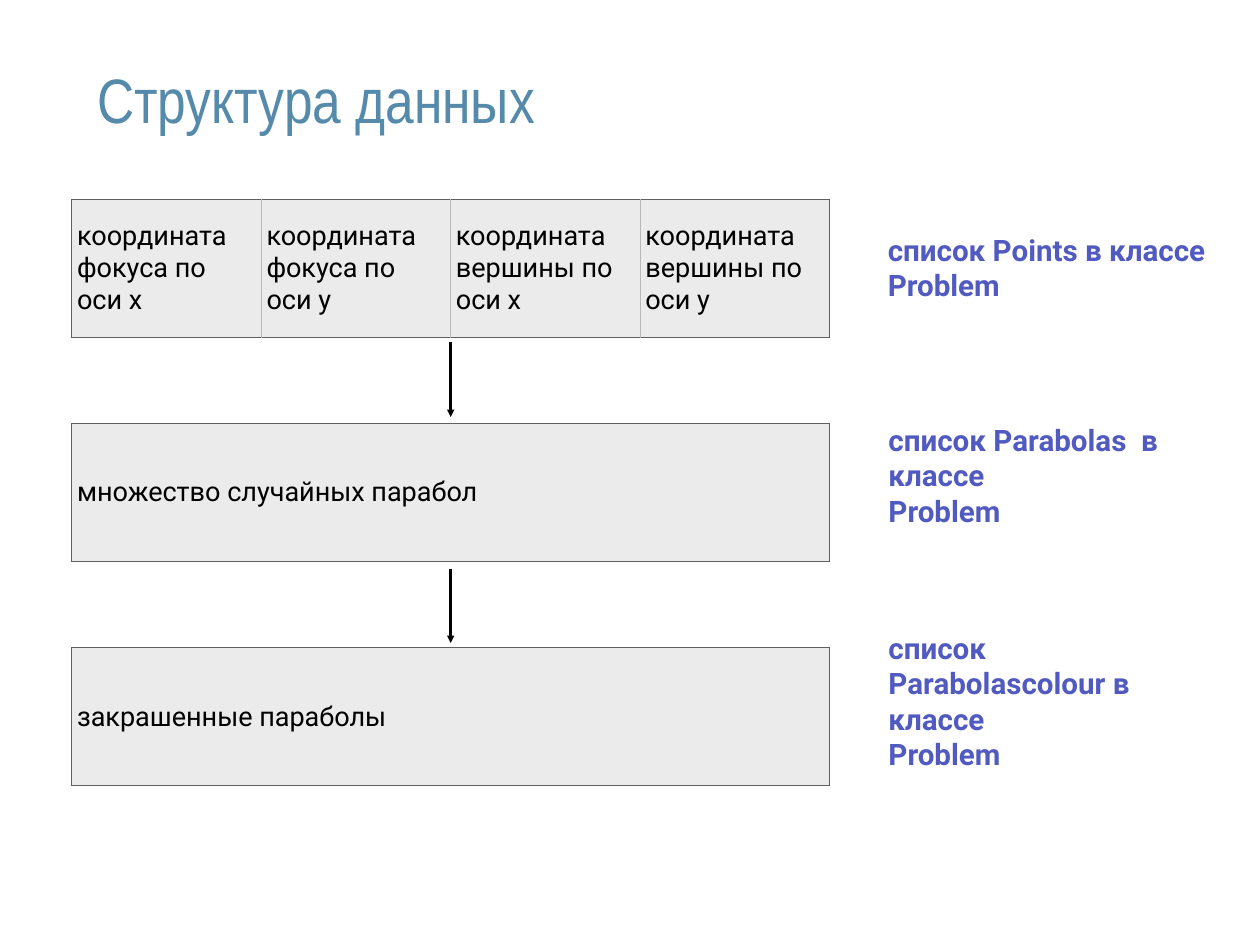
from lxml import etree
from pptx import Presentation
from pptx import util as u
from pptx.dml.color import RGBColor
from pptx.enum import shapes, text
from pptx.oxml import ns

BLACK = RGBColor(0x00, 0x00, 0x00)
CELL_GRAY = RGBColor(0xEB, 0xEB, 0xEB)
OUTER_GRAY = RGBColor(0x60, 0x60, 0x60)
INNER_GRAY = RGBColor(0xB8, 0xB8, 0xB8)
LABEL_BLUE = RGBColor(0x51, 0x5A, 0xC0)
TITLE_BLUE = RGBColor(0x55, 0x8A, 0xAB)

TABLE_LEFT, TABLE_TOP, TABLE_WIDTH = 2.06, 5.72, 21.72
ROW_HEIGHT, STAGE_STEP = 3.95, 6.43
MARGINS = dict.fromkeys(
    ("margin_left", "margin_top", "margin_right", "margin_bottom"), u.Cm(0.15))

TITLE_FORMAT = {"name": "Arial Narrow", "size": u.Pt(51)}
CELL_FORMAT = {"name": "Roboto", "size": u.Pt(22)}
LABEL_FORMAT = {"name": "Roboto", "size": u.Pt(24), "bold": True}

# Cell texts, then label text, left, top, width, height and wrapping
STAGES = [
    (["координата фокуса по оси x", "координата фокуса по оси y",
      "координата вершины по оси x", "координата вершины по оси y"],
     "список Points в классе\nProblem", (25.3, 6.5, 9.98, 2.31), False),
    (["множество случайных парабол"],
     "список Parabolas  в классе\nProblem", (25.32, 11.96, 9.35, 3.33), True),
    (["закрашенные параболы"],
     "список Parabolascolour в классе\nProblem", (25.32, 17.91, 9.35, 4.37), True),
]
ARROW_SPANS = [(9.8, 11.96), (16.31, 18.44)]


def write_text(frame, words, font_format, color):
    frame.text = words
    for para in frame.paragraphs:
        para.alignment = text.PP_ALIGN.LEFT
        for span in para.runs:
            for name, value in font_format.items():
                setattr(span.font, name, value)
            span.font.color.rgb = color


def add_border(cell, side, color):
    """Draw one side (L, R, T or B) of a cell; call before filling the cell."""
    props = cell._tc.get_or_add_tcPr()
    line = etree.SubElement(props, ns.qn(f"a:ln{side}"), w=str(u.Pt(1)))
    fill = etree.SubElement(line, ns.qn("a:solidFill"))
    etree.SubElement(fill, ns.qn("a:srgbClr"), val=str(color))


deck = Presentation()
deck.slide_width, deck.slide_height = u.Cm(36.12), u.Cm(27.1)
page = deck.slides.add_slide(deck.slide_layouts.get_by_name("Title Only"))

title = page.shapes.title
title.left, title.top, title.width, title.height = map(u.Cm, (2.64, -0.18, 18.92, 5.99))
write_text(title.text_frame, "Структура данных", TITLE_FORMAT, TITLE_BLUE)
title_frame = {**MARGINS, "vertical_anchor": text.MSO_ANCHOR.MIDDLE,
               "auto_size": text.MSO_AUTO_SIZE.NONE}
for name, value in title_frame.items():
    setattr(title.text_frame, name, value)

for index, (cell_texts, label, label_place, wraps) in enumerate(STAGES):
    count = len(cell_texts)
    table = page.shapes.add_table(
        1, count, u.Cm(TABLE_LEFT), u.Cm(TABLE_TOP + index * STAGE_STEP),
        u.Cm(TABLE_WIDTH), u.Cm(ROW_HEIGHT)).table
    table.first_row = table.horz_banding = False
    for column, words in enumerate(cell_texts):
        cell = table.cell(0, column)
        write_text(cell.text_frame, words, CELL_FORMAT, BLACK)
        for name, value in MARGINS.items():
            setattr(cell, name, value)
        cell.vertical_anchor = text.MSO_ANCHOR.MIDDLE
        add_border(cell, "L", OUTER_GRAY if column == 0 else INNER_GRAY)
        add_border(cell, "R", OUTER_GRAY if column == count - 1 else INNER_GRAY)
        add_border(cell, "T", OUTER_GRAY)
        add_border(cell, "B", OUTER_GRAY)
        cell.fill.solid()
        cell.fill.fore_color.rgb = CELL_GRAY

    box = page.shapes.add_textbox(*map(u.Cm, label_place))
    write_text(box.text_frame, label, LABEL_FORMAT, LABEL_BLUE)
    label_frame = {**MARGINS, "vertical_anchor": text.MSO_ANCHOR.MIDDLE,
                   "word_wrap": wraps,
                   "auto_size": text.MSO_AUTO_SIZE.SHAPE_TO_FIT_TEXT}
    for name, value in label_frame.items():
        setattr(box.text_frame, name, value)

arrow_x = u.Cm(TABLE_LEFT + TABLE_WIDTH / 2)
for start, end in ARROW_SPANS:
    arrow = page.shapes.add_connector(
        shapes.MSO_CONNECTOR.STRAIGHT, arrow_x, u.Cm(start), arrow_x, u.Cm(end))
    arrow.line.color.rgb = BLACK
    arrow.line.width = u.Pt(2)
    etree.SubElement(arrow.line._get_or_add_ln(), ns.qn("a:tailEnd"), type="triangle")
    etree.SubElement(arrow._element.spPr, ns.qn("a:effectLst"))

deck.save("out.pptx")
